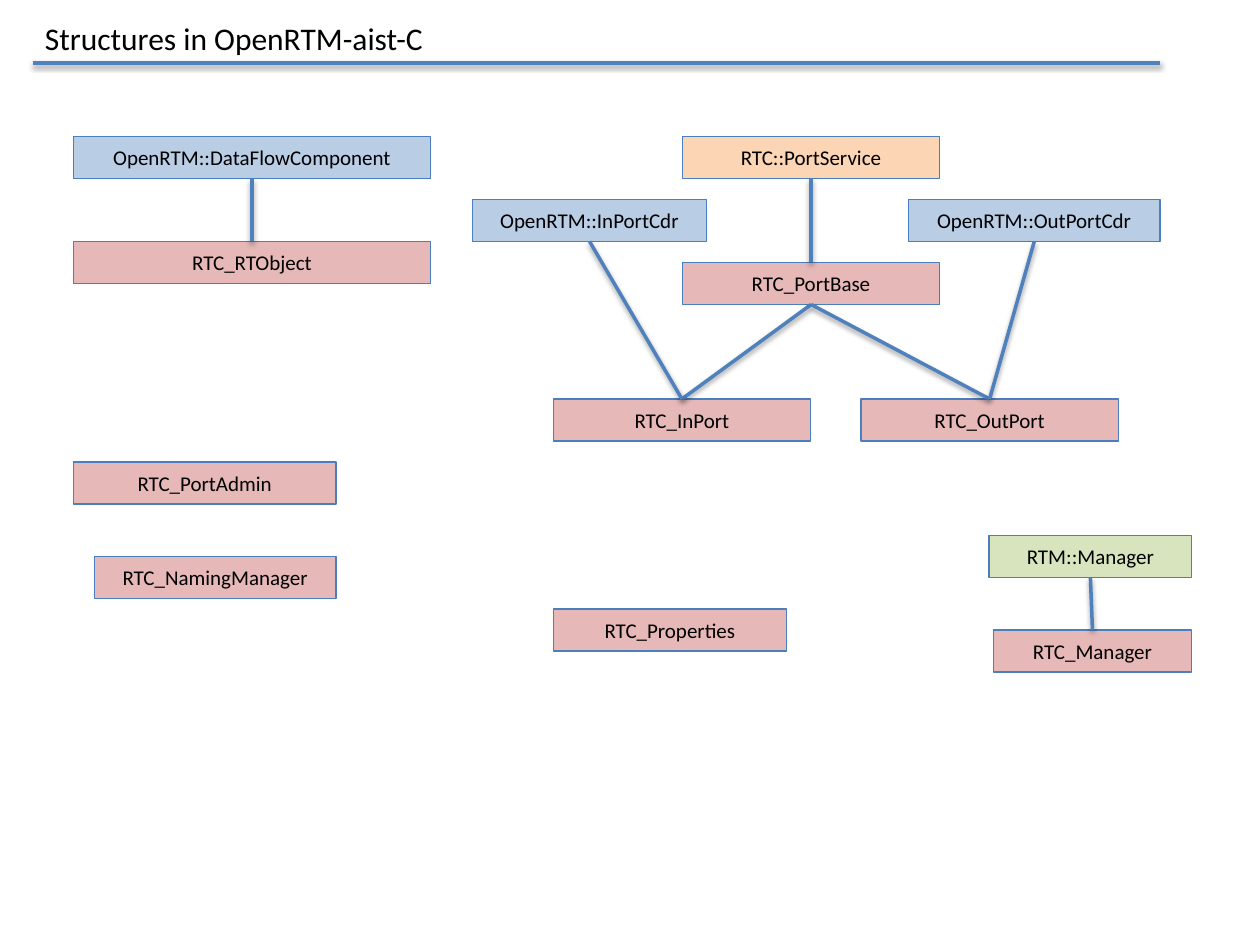
"""Build the slide of OpenRTM-aist-C structures on a grid of 120 columns by 90 rows."""
from lxml import etree
from pptx import Presentation
from pptx import util as u
from pptx.dml.color import RGBColor
from pptx.enum import shapes, text
from pptx.oxml import ns

COLORS = {"red": "E6B9B8", "blue": "B9CDE5", "orange": "FCD5B5", "green": "D7E4BD",
          "border": "4B7EBC", "link": "4F81BD", "text": "000000"}
BOX_ROWS = 4
TOP, BOTTOM = 0, 2
SHADOW = f"""<a:effectLst xmlns:a="{ns.nsdecls('a').split('"')[1]}">
<a:outerShdw blurRad="{u.Pt(3.1)}" dist="{u.Pt(1.6)}" dir="5400000" rotWithShape="0">
<a:srgbClr val="000000"><a:alpha val="38000"/></a:srgbClr></a:outerShdw></a:effectLst>"""

prs = Presentation()
prs.slide_width, prs.slide_height = u.Inches(10), u.Inches(7.5)
s = prs.slides.add_slide(prs.slide_layouts[6])
cell = prs.slide_width / 120


def add_text(sp, words, size):
    r = sp.text_frame.paragraphs[0].add_run()
    r.text = words
    r.font.name, r.font.size = "Calibri", u.Pt(size)
    r.font.color.rgb = RGBColor.from_string(COLORS["text"])


def add_link(x1, y1, x2, y2):
    cx = s.shapes.add_connector(shapes.MSO_CONNECTOR.STRAIGHT,
                                *(int(v * cell) for v in (x1, y1, x2, y2)))
    cx.line.color.rgb = RGBColor.from_string(COLORS["link"])
    cx.line.width = u.Pt(2)
    cx._element.spPr.append(etree.fromstring(SHADOW))
    return cx


title = s.shapes.add_textbox(*(int(v * cell) for v in (3.1, 1.2, 39, 4.8)))
title.text_frame.word_wrap = False
title.text_frame.auto_size = text.MSO_AUTO_SIZE.SHAPE_TO_FIT_TEXT
add_text(title, "Structures in OpenRTM-aist-C", 18)
add_link(3.1, 6, 110.5, 6)

structures = [
    ("OpenRTM::DataFlowComponent", "blue", 7, 13, 34),
    ("RTC_RTObject", "red", 7, 23, 34),
    ("RTC::PortService", "orange", 65, 13, 24.5),
    ("RTC_PortBase", "red", 65, 25, 24.5),
    ("OpenRTM::InPortCdr", "blue", 45, 19, 22.3),
    ("OpenRTM::OutPortCdr", "blue", 86.5, 19, 24),
    ("RTC_InPort", "red", 52.7, 38, 24.5),
    ("RTC_OutPort", "red", 82, 38, 24.5),
    ("RTC_PortAdmin", "red", 7, 44, 25),
    ("RTC_NamingManager", "red", 9, 53, 23),
    ("RTC_Properties", "red", 52.7, 58, 22.2),
    ("RTM::Manager", "green", 94.2, 51, 19.3),
    ("RTC_Manager", "red", 94.6, 60, 18.9),
]
boxes = {}
for name, color, col, row, cols in structures:
    sp = s.shapes.add_shape(shapes.MSO_SHAPE.RECTANGLE,
                            *(int(v * cell) for v in (col, row, cols, BOX_ROWS)))
    sp.shadow.inherit = False
    sp.fill.solid()
    sp.fill.fore_color.rgb = RGBColor.from_string(COLORS[color])
    sp.line.color.rgb = RGBColor.from_string(COLORS["border"])
    sp.line.width = u.Pt(0.75)
    sp.text_frame.vertical_anchor = text.MSO_ANCHOR.MIDDLE
    sp.text_frame.paragraphs[0].alignment = text.PP_ALIGN.CENTER
    add_text(sp, name, 12)
    boxes[name] = sp

inheritance = [
    ("OpenRTM::DataFlowComponent", "RTC_RTObject"),
    ("RTC::PortService", "RTC_PortBase"),
    ("RTC_PortBase", "RTC_InPort"),
    ("OpenRTM::InPortCdr", "RTC_InPort"),
    ("RTC_PortBase", "RTC_OutPort"),
    ("OpenRTM::OutPortCdr", "RTC_OutPort"),
    ("RTM::Manager", "RTC_Manager"),
]
for parent, child in inheritance:
    cx = add_link(0, 0, 0, 0)
    cx.begin_connect(boxes[parent], BOTTOM)
    cx.end_connect(boxes[child], TOP)

prs.save("out.pptx")
